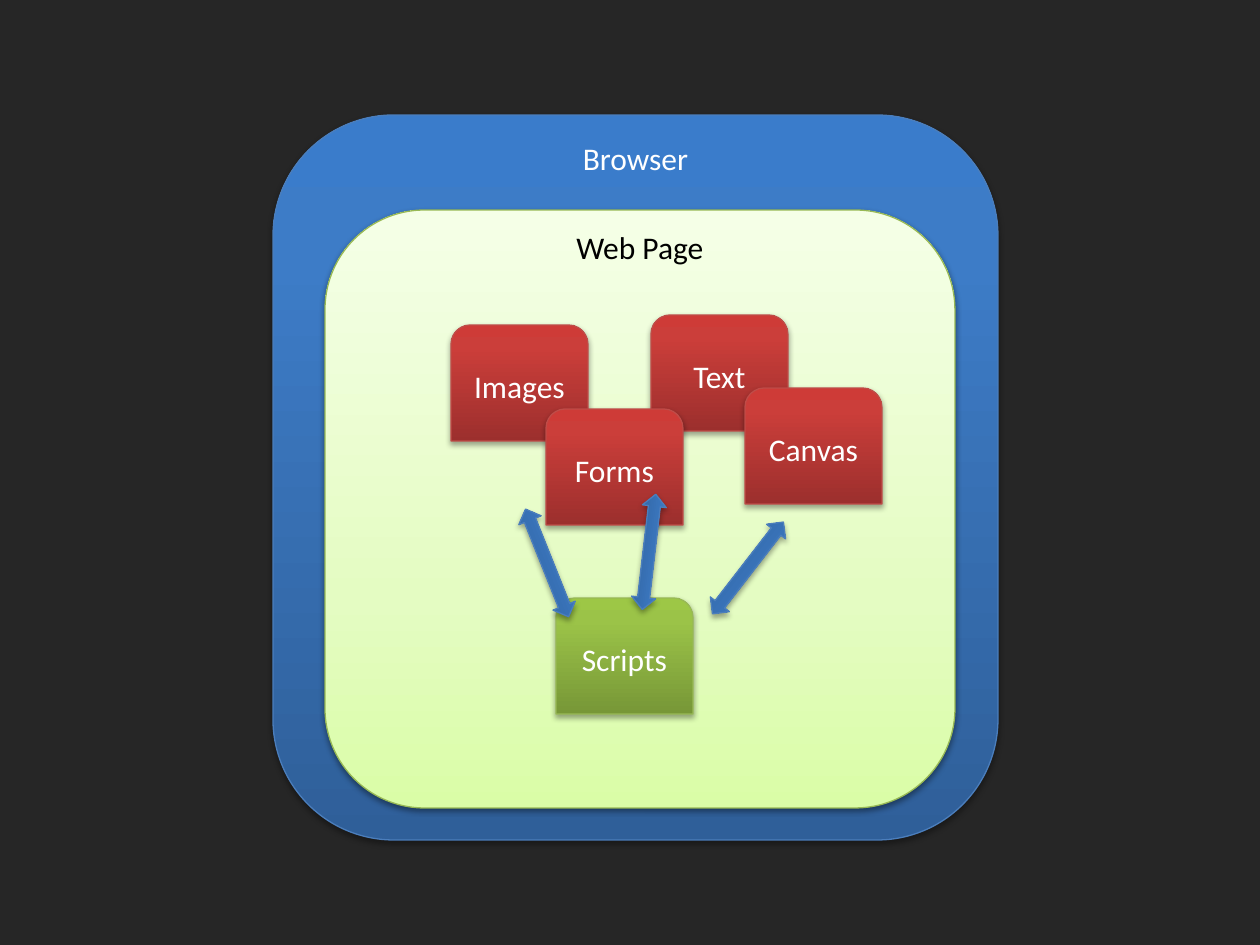
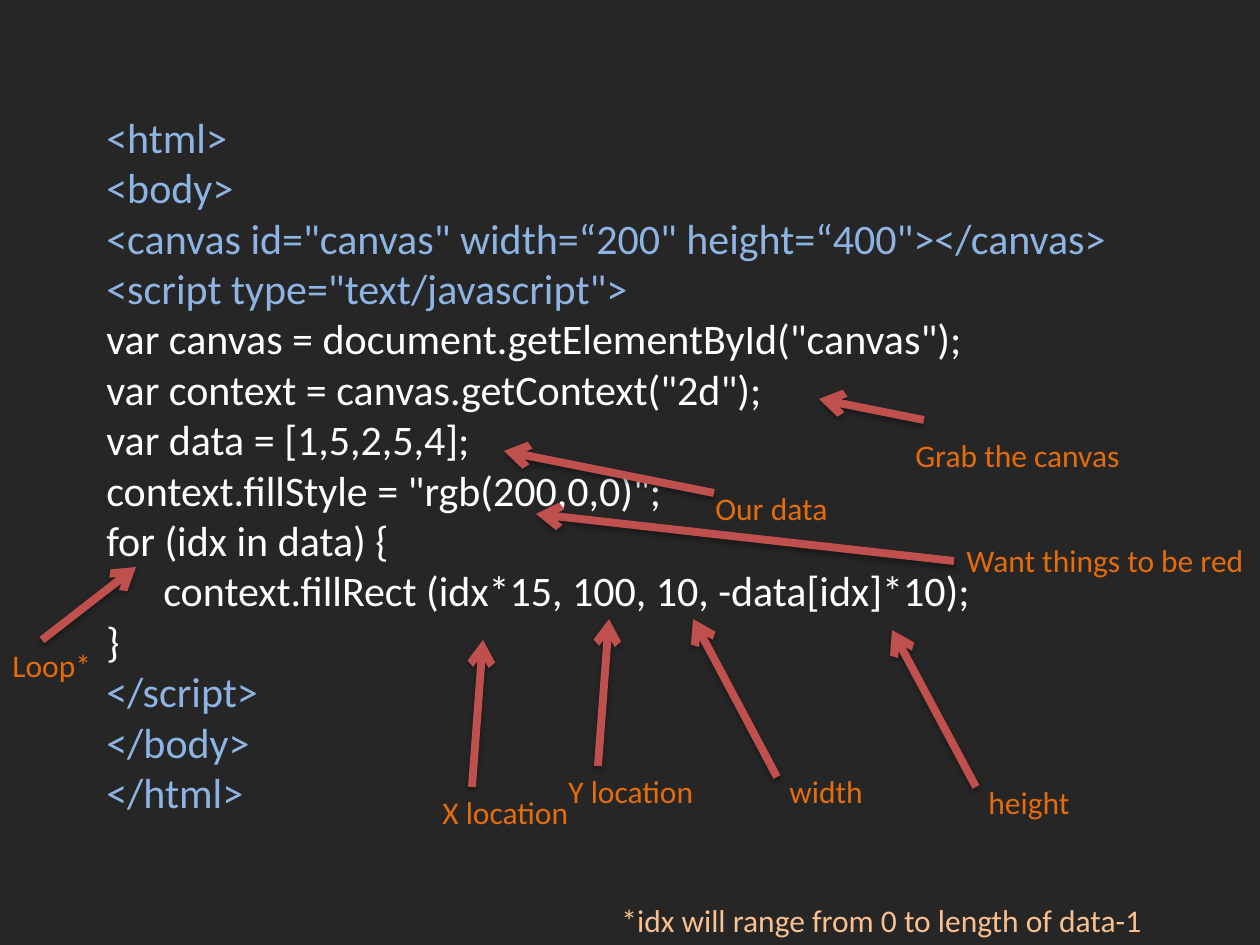
import pptx
import pptx.util
import pptx.dml.color
import pptx.enum.shapes
import pptx.enum.text
import pptx.oxml
import pptx.oxml.ns
from dataclasses import dataclass

Kind = pptx.enum.shapes.MSO_SHAPE
Align = pptx.enum.text.PP_ALIGN
Anchor = pptx.enum.text.MSO_ANCHOR
Fit = pptx.enum.text.MSO_AUTO_SIZE
Pt = pptx.util.Pt


@dataclass(frozen=True)
class Theme:
    font: str = "Calibri"
    body: int = 18
    code: int = 24
    back: str = "262626"
    white: str = "FFFFFF"
    black: str = "000000"
    tag: str = "8EB4E3"
    note: str = "E46C0A"
    foot: str = "FAC090"
    arrow: str = "C0504D"
    thin: float = 0.75
    thick: float = 4.5


theme = Theme()

PAINT = {
    "blue": ([(0, "2F5F99"), (80, "3D7CC7"), (100, "3A7CCB")], "4B7EBC", (35, 23000)),
    "pale": ([(0, "DAFDA7"), (35, "E4FCC2"), (100, "F5FFE7")], "98B955", (38, 20000)),
    "red": ([(0, "9C2F2D"), (80, "CB3E3A"), (100, "CE3B37")], "BF4C48", (35, 23000)),
    "green": ([(0, "779737"), (80, "9BC348"), (100, "9DC746")], "98B955", (35, 23000)),
}

FRAMES = [
    ("Browser", (273, 115, 725, 725), "blue", theme.white),
    ("Web Page", (325, 210, 630, 598), "pale", theme.black),
]
CARD = (137, 116)
CARDS = [
    ("Images", (451, 325), "red"),
    ("Text", (651, 315), "red"),
    ("Canvas", (745, 388), "red"),
    ("Forms", (546, 409), "red"),
    ("Scripts", (556, 598), "green"),
]
LINK = (116, 24)
LINKS = [((748, 568), 307.7), ((649, 552), 276.7), ((547, 563), 248.2)]

CODE_BOX = (94, 105, 1061, 726)
STEP = 57
CODE = [
    ("<html>", theme.tag, 0),
    ("<body>", theme.tag, 0),
    ('<canvas id="canvas" width=“200" height=“400"></canvas>', theme.tag, 0),
    ('<script type="text/javascript">', theme.tag, 0),
    ('var canvas = document.getElementById("canvas");', theme.white, 0),
    ('var context = canvas.getContext("2d");', theme.white, 0),
    ("var data = [1,5,2,5,4];", theme.white, 0),
    ('context.fillStyle = "rgb(200,0,0)";', theme.white, 0),
    ("for (idx in data) {", theme.white, 0),
    ("context.fillRect (idx*15, 100, 10, -data[idx]*10);", theme.white, 1),
    ("}", theme.white, 0),
    ("</script>", theme.tag, 0),
    ("</body>", theme.tag, 0),
    ("</html>", theme.tag, 0),
]
ROW = 51
NOTES = [
    ("Grab the canvas", (903, 430, 232), (924, 420), (819, 399)),
    ("Our data", (703, 483, 139), (714, 493), (504, 451)),
    ("Want things to be red", (954, 535, 306), (954, 561), (536, 514)),
    ("Loop*", (0, 640, 105), (42, 640), (136, 567)),
    ("X location", (430, 787, 152), (472, 787), (483, 640)),
    ("Y location", (556, 766, 152), (598, 766), (609, 619)),
    ("width", (777, 766, 100), (777, 777), (693, 619)),
    ("height", (976, 777, 106), (976, 787), (892, 630)),
]
FOOT = ("*idx will range from 0 to length of data-1", (609, 895, 561))


def px(size):
    return round(size * 914400 / 126)


def place(box):
    return [px(size) for size in box]


def rgb(code):
    return pptx.dml.color.RGBColor.from_string(code)


def xml(text):
    return pptx.oxml.parse_xml(text.replace(">", f" {pptx.oxml.ns.nsdecls('a')}>", 1))


def shade(shape, alpha=35, gap=23000):
    props = shape._element.spPr
    for old in props.findall(pptx.oxml.ns.qn("a:effectLst")):
        props.remove(old)
    props.append(xml(
        f'<a:effectLst><a:outerShdw blurRad="40000" dist="{gap}" dir="5400000" rotWithShape="0">'
        f'<a:srgbClr val="{theme.black}"><a:alpha val="{alpha * 1000}"/></a:srgbClr>'
        '</a:outerShdw></a:effectLst>'))


def paint(shape, name):
    stops, edge, dark = PAINT[name]
    shape.fill.gradient()
    shape.fill.gradient_angle = 90
    grad = shape._element.spPr.find(pptx.oxml.ns.qn("a:gradFill"))
    marks = "".join(f'<a:gs pos="{pos * 1000}"><a:srgbClr val="{tone}"/></a:gs>'
                    for pos, tone in stops)
    grad.replace(grad[0], xml(f"<a:gsLst>{marks}</a:gsLst>"))
    shape.line.color.rgb = rgb(edge)
    shape.line.width = Pt(theme.thin)
    shade(shape, *dark)


def write(par, text, tone, size=theme.body):
    run = par.add_run()
    run.text = text
    run.font.name = theme.font
    run.font.size = Pt(size)
    run.font.color.rgb = rgb(tone)


def block(home, kind, box, name, text="", tone=theme.white):
    shape = home.add_shape(kind, *place(box))
    paint(shape, name)
    if text:
        frame = shape.text_frame
        frame.vertical_anchor = Anchor.MIDDLE
        frame.paragraphs[0].alignment = Align.CENTER
        write(frame.paragraphs[0], text, tone)
    return shape


def label(home, text, spot, tone):
    box = home.add_textbox(*place((*spot, ROW)))
    box.text_frame.word_wrap = False
    box.text_frame.auto_size = Fit.SHAPE_TO_FIT_TEXT
    write(box.text_frame.paragraphs[0], text, tone)


def arrow(home, start, end):
    kind = pptx.enum.shapes.MSO_CONNECTOR.STRAIGHT
    line = home.add_connector(kind, *place((*start, *end)))
    line.line.color.rgb = rgb(theme.arrow)
    line.line.width = Pt(theme.thick)
    line.line._get_or_add_ln().append(xml('<a:tailEnd type="arrow" />'.replace(" />", "></a:tailEnd>")))
    shade(line)


def draw_page(home):
    for text, box, name, tone in FRAMES:
        shape = block(home, Kind.ROUNDED_RECTANGLE, box, name, text, tone)
        inset = min(box[2:]) / 6 * 0.29
        shape.text_frame.margin_top = 0
        shape.text_frame.margin_bottom = px(box[3] - 2 * inset - 16)
    for text, spot, name in CARDS:
        block(home, Kind.ROUND_2_SAME_RECTANGLE, (*spot, *CARD), name, text)
    wide, high = LINK
    for (x, y), turn in LINKS:
        box = (x - wide / 2, y - high / 2, wide, high)
        shape = block(home, Kind.LEFT_RIGHT_ARROW, box, "blue")
        shape.rotation = turn
        shape._element.spPr.xfrm.set("flipV", "1")


def draw_code(home):
    frame = home.add_textbox(*place(CODE_BOX)).text_frame
    frame.word_wrap = True
    frame.auto_size = Fit.SHAPE_TO_FIT_TEXT
    for row, (text, tone, level) in enumerate(CODE):
        par = frame.add_paragraph() if row else frame.paragraphs[0]
        if level:
            par._p.get_or_add_pPr().set("marL", str(px(STEP * level)))
        write(par, text, tone, theme.code)
    for text, spot, start, end in NOTES:
        group = home.add_group_shape().shapes
        arrow(group, start, end)
        label(group, text, spot, theme.note)
    label(home, *FOOT, theme.foot)


deck = pptx.Presentation()
deck.slide_width, deck.slide_height = place((1260, 945))
fill = deck.slide_master.background.fill
fill.solid()
fill.fore_color.rgb = rgb(theme.back)
for draw in (draw_page, draw_code):
    draw(deck.slides.add_slide(deck.slide_layouts[6]).shapes)
deck.save("out.pptx")
